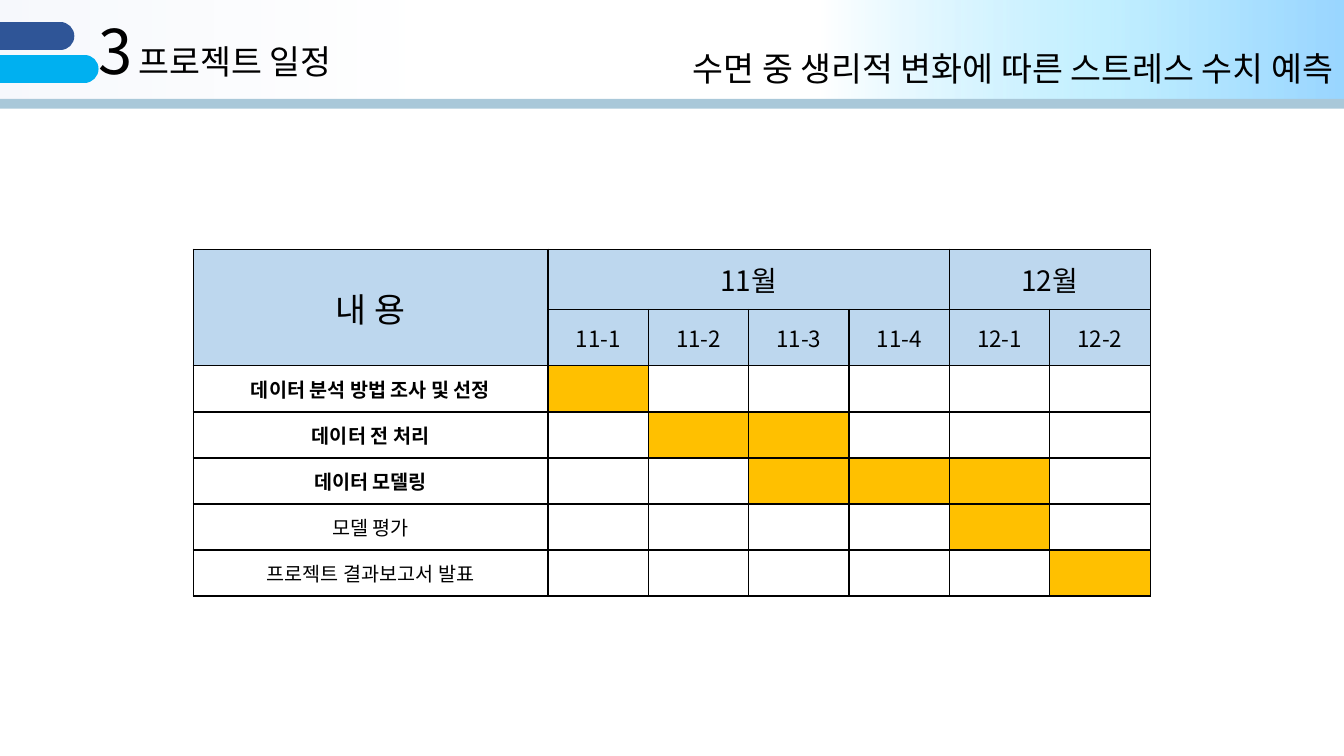
from dataclasses import dataclass

from lxml import etree
from pptx import Presentation
from pptx import util as u
from pptx.dml.color import RGBColor
from pptx.enum import shapes, text
from pptx.oxml import ns

FONT = "Noto Sans CJK KR"
BLACK, HEAD, DONE = "000000", "BDD7EE", "FFC000"


@dataclass
class Stripe:
    y: float
    end: float
    color: str


@dataclass
class Label:
    x: float
    y: float
    w: float
    h: float
    runs: list[tuple[str, int]]
    align: text.PP_ALIGN


@dataclass
class Month:
    name: str
    weeks: list[str]


@dataclass
class Task:
    name: str
    first: int
    last: int
    bold: bool = False


STOPS = [(0, "F6F8FC", 100), (32, "FFFFFF", 100), (61, "FFFFFF", 100),
         (83, "A7E8FF", 70), (100, "6DC4FF", 70)]
STRIPES = [Stripe(0.91, 1.52, "2F5597"), Stripe(1.73, 2.13, "00B0F0")]
LABELS = [
    Label(11.79, 1.09, 22.05, 1.27,
          [("수면 중 생리적 변화에 따른 스트레스 수치 예측", 24)], text.PP_ALIGN.RIGHT),
    Label(2.24, 0.18, 6.76, 2.13,
          [("3", 44), (" ", 18), ("프로젝트 일정", 24)], text.PP_ALIGN.LEFT),
]
MONTHS = [Month("11월", ["11-1", "11-2", "11-3", "11-4"]),
          Month("12월", ["12-1", "12-2"])]
TASKS = [
    Task("데이터 분석 방법 조사 및 선정", 1, 1, True),
    Task("데이터 전 처리", 2, 3, True),
    Task("데이터 모델링", 3, 5, True),
    Task("모델 평가", 5, 5),
    Task("프로젝트 결과보고서 발표", 6, 6),
]


def rgb(color: str) -> RGBColor:
    return RGBColor.from_string(color)


def add(parent, tag: str, **attrs):
    return etree.SubElement(parent, ns.qn(tag), {k: str(v) for k, v in attrs.items()})


def style_run(r, size: int, bold: bool = False) -> None:
    r.font.size = u.Pt(size)
    r.font.bold = bold
    r.font.name = FONT
    r.font.color.rgb = rgb(BLACK)
    add(r.font._element, "a:ea", typeface=FONT)


def draw_band(s, y: float, h: float):
    sp = s.shapes.add_shape(shapes.MSO_SHAPE.RECTANGLE,
                            u.Cm(-0.05), u.Cm(y), u.Cm(33.93), u.Cm(h))
    sp.shadow.inherit = False
    sp.line.fill.background()
    return sp


def fill_gradient(sp) -> None:
    sp.fill.gradient()
    sp.fill.gradient_angle = 0
    stops = sp._element.spPr.find(f".//{ns.qn('a:gsLst')}")
    for old in list(stops):
        stops.remove(old)
    for pos, color, alpha in STOPS:
        c = add(add(stops, "a:gs", pos=pos * 1000), "a:srgbClr", val=color)
        if alpha < 100:
            add(c, "a:alpha", val=alpha * 1000)


def draw_stripe(s, stripe: Stripe) -> None:
    line = s.shapes.add_connector(shapes.MSO_CONNECTOR.STRAIGHT, u.Cm(-0.25),
                                  u.Cm(stripe.y), u.Cm(stripe.end), u.Cm(stripe.y))
    line.line.color.rgb = rgb(stripe.color)
    line.line.width = u.Pt(20)
    ln = line.line._get_or_add_ln()
    ln.set("cap", "rnd")
    add(ln, "a:round")
    add(line._element.spPr, "a:effectLst")


def draw_label(s, label: Label) -> None:
    box = s.shapes.add_textbox(u.Cm(label.x), u.Cm(label.y), u.Cm(label.w), u.Cm(label.h))
    tf = box.text_frame
    tf.word_wrap = True
    tf.vertical_anchor = text.MSO_ANCHOR.MIDDLE
    p = tf.paragraphs[0]
    p.alignment = label.align
    for words, size in label.runs:
        r = p.add_run()
        r.text = words
        style_run(r, size)


def format_cell(cell, fill: str | None) -> None:
    cell.margin_left = cell.margin_right = 0
    cell.margin_top = cell.margin_bottom = u.Cm(0.2)
    cell.vertical_anchor = text.MSO_ANCHOR.MIDDLE
    cell.text_frame.paragraphs[0].font.size = u.Pt(14)
    tcPr = cell._tc.get_or_add_tcPr()
    for side in ("a:lnL", "a:lnR", "a:lnT", "a:lnB"):
        ln = add(tcPr, side, w=u.Pt(1))
        add(add(ln, "a:solidFill"), "a:srgbClr", val=BLACK)
    if fill:
        cell.fill.solid()
        cell.fill.fore_color.rgb = rgb(fill)
    else:
        cell.fill.background()


def write_cell(cell, words: str, size: int, bold: bool = False) -> None:
    cell.text_frame.text = words
    p = cell.text_frame.paragraphs[0]
    p.alignment = text.PP_ALIGN.CENTER
    style_run(p.runs[0], size, bold)


def draw_schedule(s) -> None:
    widths = [8.94] + [2.53] * sum(len(m.weeks) for m in MONTHS)
    heights = [1.52, 1.42] + [1.16] * len(TASKS)
    table = s.shapes.add_table(len(heights), len(widths), u.Cm(4.87), u.Cm(6.28),
                               u.Cm(sum(widths)), u.Cm(sum(heights))).table
    table.first_row = table.horz_banding = False
    for column, width in zip(table.columns, widths):
        column.width = u.Cm(width)
    for row, height in zip(table.rows, heights):
        row.height = u.Cm(height)
    for i in range(len(heights)):
        for j in range(len(widths)):
            busy = i > 1 and TASKS[i - 2].first <= j <= TASKS[i - 2].last
            format_cell(table.cell(i, j), HEAD if i < 2 else DONE if busy else None)

    table.cell(0, 0).merge(table.cell(1, 0))
    write_cell(table.cell(0, 0), "내 용", 24)
    start = 1
    for month in MONTHS:
        end = start + len(month.weeks)
        table.cell(0, start).merge(table.cell(0, end - 1))
        write_cell(table.cell(0, start), month.name, 20)
        for j, week in enumerate(month.weeks, start):
            write_cell(table.cell(1, j), week, 16)
        start = end
    for i, task in enumerate(TASKS, 2):
        write_cell(table.cell(i, 0), task.name, 14, task.bold)


def main() -> None:
    prs = Presentation()
    prs.slide_width, prs.slide_height = u.Cm(33.87), u.Cm(19.05)
    s = prs.slides.add_slide(prs.slide_layouts[6])
    fill_gradient(draw_band(s, -0.03, 2.54))
    rule = draw_band(s, 2.49, 0.25)
    rule.fill.solid()
    rule.fill.fore_color.rgb = rgb("A9C8D9")
    for stripe in STRIPES:
        draw_stripe(s, stripe)
    for label in LABELS:
        draw_label(s, label)
    draw_schedule(s)
    prs.save("out.pptx")


if __name__ == "__main__":
    main()
